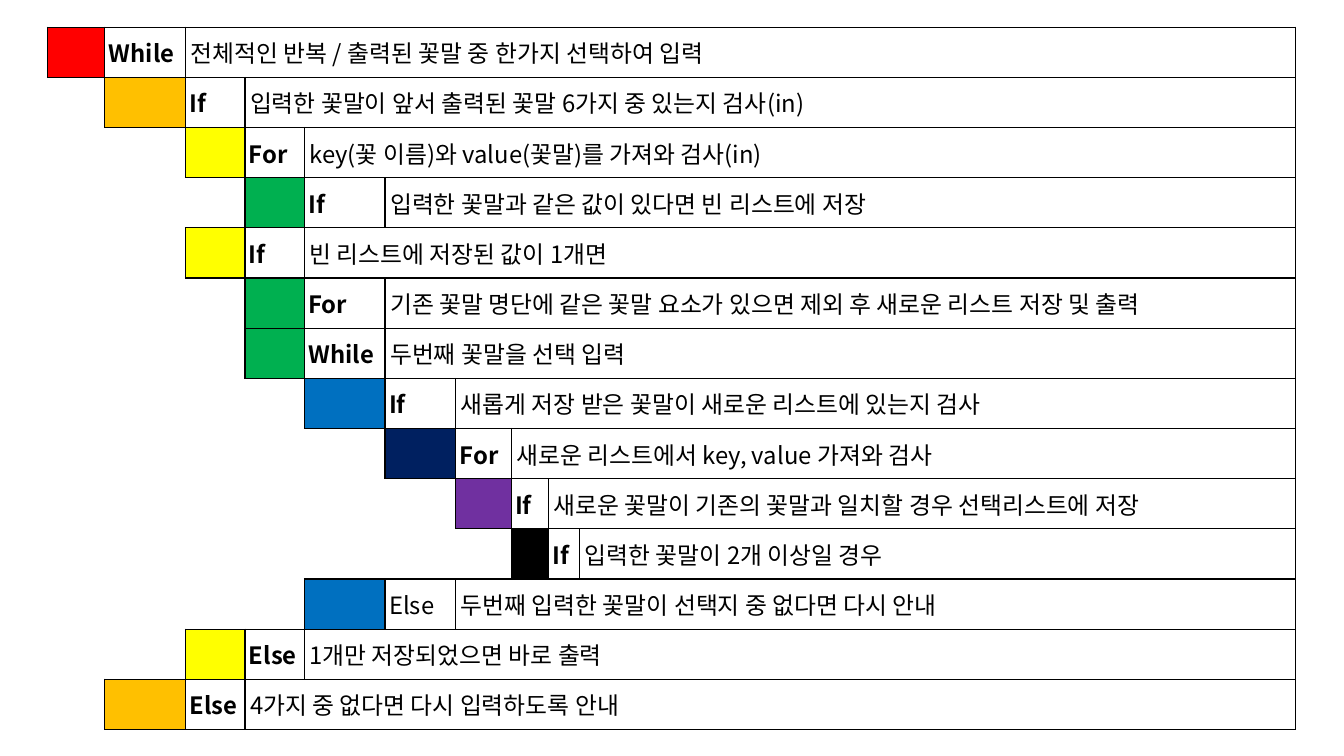
from lxml import etree
from pptx import Presentation
from pptx import util as u
from pptx.dml.color import RGBColor
from pptx.enum import text
from pptx.oxml.ns import qn

FONT = "Noto Sans CJK KR"
BLACK = RGBColor(0x00, 0x00, 0x00)
# Swatch colour for each nesting depth
DEPTH_COLOURS = [
    RGBColor(0xFF, 0x00, 0x00),
    RGBColor(0xFF, 0xC0, 0x00),
    RGBColor(0xFF, 0xFF, 0x00),
    RGBColor(0x00, 0xB0, 0x50),
    RGBColor(0x00, 0x70, 0xC0),
    RGBColor(0x00, 0x20, 0x60),
    RGBColor(0x70, 0x30, 0xA0),
    BLACK,
]
COLUMN_WIDTHS = [0.57, 0.8, 0.59, 0.59, 0.8, 0.7, 0.55, 0.37, 0.31, 7.1]
LEFT, TOP, TABLE_HEIGHT = 0.47, 0.27, 6.97

# Nesting depth, keyword, description, bold keyword
STEPS = [
    (0, "While", "전체적인 반복 / 출력된 꽃말 중 한가지 선택하여 입력", True),
    (1, "If", "입력한 꽃말이 앞서 출력된 꽃말 6가지 중 있는지 검사(in)", True),
    (2, "For", "key(꽃 이름)와 value(꽃말)를 가져와 검사(in)", True),
    (3, "If", "입력한 꽃말과 같은 값이 있다면 빈 리스트에 저장", True),
    (2, "If", "빈 리스트에 저장된 값이 1개면", True),
    (3, "For", "기존 꽃말 명단에 같은 꽃말 요소가 있으면 제외 후 새로운 리스트 저장 및 출력", True),
    (3, "While", "두번째 꽃말을 선택 입력", True),
    (4, "If", "새롭게 저장 받은 꽃말이 새로운 리스트에 있는지 검사", True),
    (5, "For", "새로운 리스트에서 key, value 가져와 검사", True),
    (6, "If", "새로운 꽃말이 기존의 꽃말과 일치할 경우 선택리스트에 저장", True),
    (7, "If", "입력한 꽃말이 2개 이상일 경우", True),
    (4, "Else", "두번째 입력한 꽃말이 선택지 중 없다면 다시 안내", False),
    (2, "Else", "1개만 저장되었으면 바로 출력", True),
    (1, "Else", "4가지 중 없다면 다시 입력하도록 안내", True),
]
# Border tags with the row and column step to the neighbouring cell
SIDES = [("a:lnL", 0, -1), ("a:lnR", 0, 1), ("a:lnT", -1, 0), ("a:lnB", 1, 0)]


def is_used(row, column):
    """Cells from the swatch to the right edge are part of the step."""
    return 0 <= row < len(STEPS) and STEPS[row][0] <= column < len(COLUMN_WIDTHS)


def set_borders(cell, row, column):
    """Draw each side that touches a used cell and hide the others."""
    properties = cell._tc.get_or_add_tcPr()
    for tag, down, right in SIDES:
        line = etree.SubElement(properties, qn(tag), w=str(u.Pt(1)))
        if is_used(row, column) or is_used(row + down, column + right):
            fill = etree.SubElement(line, qn("a:solidFill"))
            etree.SubElement(fill, qn("a:srgbClr"), val=str(BLACK))
        else:
            etree.SubElement(line, qn("a:noFill"))


def write_cell(cell, words, bold, margin):
    cell.vertical_anchor = text.MSO_ANCHOR.MIDDLE
    cell.margin_left = cell.margin_right = u.Inches(margin)
    cell.margin_top = cell.margin_bottom = u.Inches(margin)
    para = cell.text_frame.paragraphs[0]
    para.text = words
    font = para.font
    font.name, font.size, font.bold = FONT, u.Pt(17), bold
    font.color.rgb = BLACK
    # Korean glyphs take the East Asian typeface
    defaults = para._p.pPr.find(qn("a:defRPr"))
    defaults.find(qn("a:latin")).addnext(
        etree.Element(qn("a:ea"), typeface=FONT))


def fill_step(table, row, step):
    depth, keyword, description, bold = step
    last = len(COLUMN_WIDTHS) - 1
    for column in range(last + 1):
        cell = table.cell(row, column)
        set_borders(cell, row, column)
        cell.fill.background()

    swatch = table.cell(row, depth)
    swatch.fill.solid()
    swatch.fill.fore_color.rgb = DEPTH_COLOURS[depth]

    write_cell(table.cell(row, depth + 1), keyword, bold, 0.04)
    body = table.cell(row, depth + 2)
    if depth + 2 < last:
        body.merge(table.cell(row, last))
    write_cell(body, description, False, 0.05)


def add_step_table(page):
    frame = page.shapes.add_table(
        len(STEPS), len(COLUMN_WIDTHS), u.Inches(LEFT), u.Inches(TOP),
        u.Inches(sum(COLUMN_WIDTHS)), u.Inches(TABLE_HEIGHT))
    table = frame.table
    table.first_row = table.horz_banding = False
    for column, width in zip(table.columns, COLUMN_WIDTHS):
        column.width = u.Inches(width)
    # Small margins in every cell keep the rows equal in height
    for cell in table.iter_cells():
        cell.margin_top = cell.margin_bottom = u.Inches(0.04)
    for row, step in enumerate(STEPS):
        fill_step(table, row, step)


def main():
    deck = Presentation()
    deck.slide_width, deck.slide_height = u.Inches(13.33), u.Inches(7.5)
    page = deck.slides.add_slide(deck.slide_layouts[6])
    add_step_table(page)
    deck.save("out.pptx")


if __name__ == "__main__":
    main()
